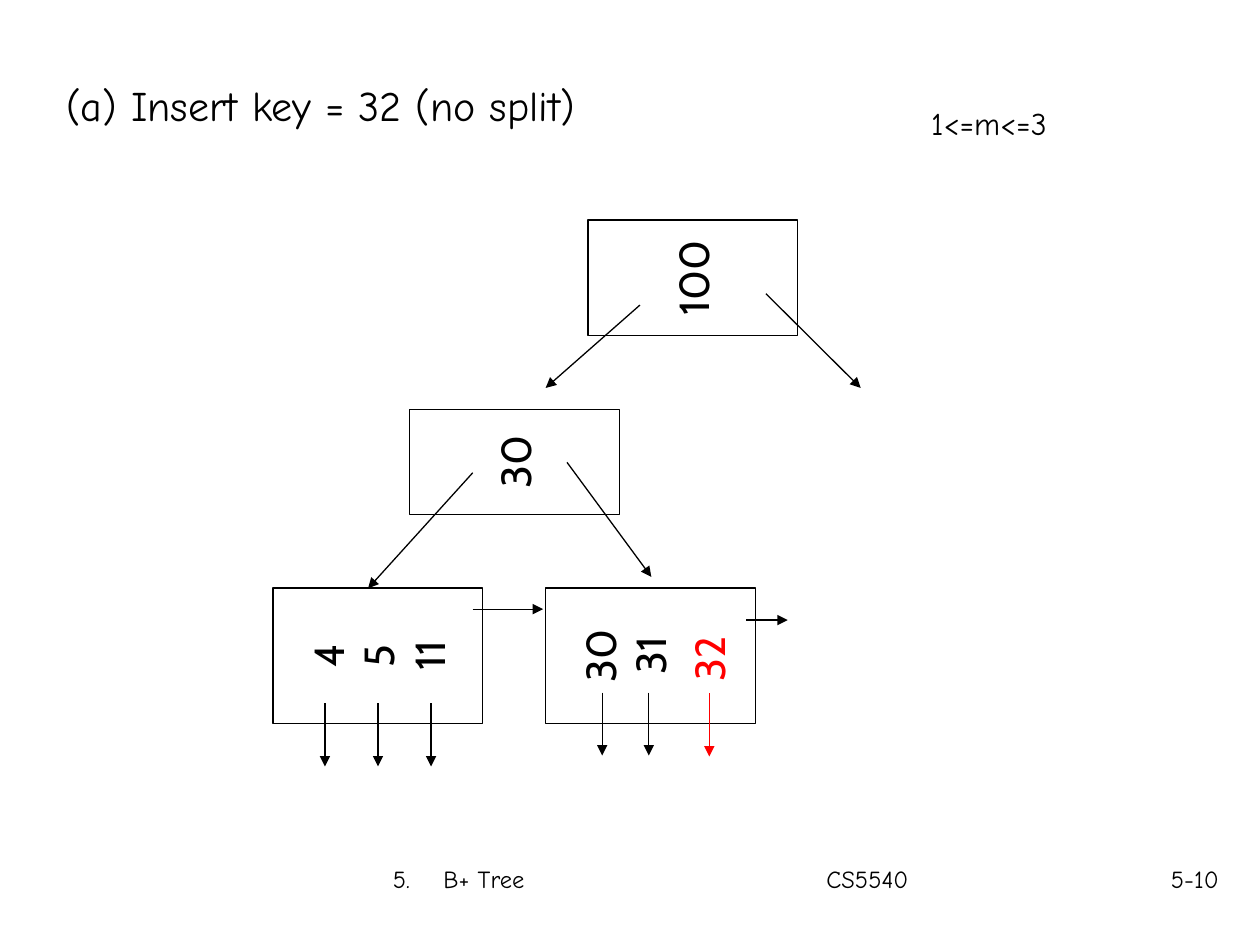
from lxml import etree
from pptx import Presentation
from pptx import util as u
from pptx.dml.color import RGBColor
from pptx.enum import shapes, text
from pptx.oxml.ns import qn

BLACK = RGBColor(0, 0, 0)
RED = RGBColor(255, 0, 0)
WHITE = RGBColor(255, 255, 255)
BODY, KEY = "Comic Neue", "Cabin"
LEFT, CENTER, RIGHT = (text.PP_ALIGN.LEFT, text.PP_ALIGN.CENTER,
                       text.PP_ALIGN.RIGHT)
NODE_LENGTH = 4.23
POINTER = 1.27


def write(sp, lines, font=BODY, size=14, color=BLACK, align=LEFT,
          anchor=text.MSO_ANCHOR.TOP, wrap=True, before=0, tabs=()):
    tf = sp.text_frame
    tf.word_wrap = wrap
    tf.vertical_anchor = anchor
    for i, line in enumerate(lines):
        p = tf.add_paragraph() if i else tf.paragraphs[0]
        p.alignment = align
        p.space_before = u.Pt(before)
        if tabs:
            tab_list = etree.SubElement(p._p.get_or_add_pPr(), qn("a:tabLst"))
            for pos in tabs:
                etree.SubElement(tab_list, qn("a:tab"), pos=str(u.Cm(pos)), algn="l")
        r = p.add_run()
        r.text = line
        r.font.name = font
        r.font.size = u.Pt(size)
        r.font.color.rgb = color


def label(s, x, y, w, h, line, **fmt):
    sp = s.shapes.add_textbox(u.Cm(x), u.Cm(y), u.Cm(w), u.Cm(h))
    write(sp, [line], **fmt)
    return sp


def write_keys(sp, keys, color=BLACK):
    sp.rotation = 270
    write(sp, keys, font=KEY, size=24, color=color, align=CENTER,
          anchor=text.MSO_ANCHOR.MIDDLE, wrap=False)


def node(s, cx, cy, depth, keys, free_space=0):
    sp = s.shapes.add_shape(
        shapes.MSO_SHAPE.RECTANGLE, u.Cm(cx - depth / 2),
        u.Cm(cy - NODE_LENGTH / 2), u.Cm(depth), u.Cm(NODE_LENGTH))
    sp.shadow.inherit = False
    sp.fill.solid()
    sp.fill.fore_color.rgb = WHITE
    sp.line.color.rgb = BLACK
    sp.line.width = u.Pt(0.75)
    write_keys(sp, keys)
    sp.text_frame.margin_bottom = u.Cm(0.13 + free_space)


def arrow(s, x1, y1, x2, y2, color=BLACK):
    c = s.shapes.add_connector(shapes.MSO_CONNECTOR.STRAIGHT,
                               u.Cm(x1), u.Cm(y1), u.Cm(x2), u.Cm(y2))
    c.line.color.rgb = color
    c.line.width = u.Pt(0.75)
    etree.SubElement(c.line._get_or_add_ln(), qn("a:tailEnd"), type="triangle")
    etree.SubElement(c._element.spPr, qn("a:effectLst"))


def pointer(s, x, y, color=BLACK):
    arrow(s, x, y, x, y + POINTER, color)


def main():
    prs = Presentation()
    prs.slide_width, prs.slide_height = u.Cm(25.4), u.Cm(19.05)
    s = prs.slides.add_slide(prs.slide_layouts[6])

    label(s, 7.67, 17.3, 15.2, 1.27, "5.\tB+ Tree\tCS5540", tabs=(1.02, 8.74))
    label(s, 1.09, 1.47, 21.59, 1.65, "(a) Insert key = 32 (no split)",
          size=24, before=6)
    label(s, 18.52, 1.98, 2.84, 1.02, "1<=m<=3", size=18, wrap=False)
    label(s, 22.94, 17.3, 1.88, 1.27, "5-10", align=RIGHT)

    node(s, 7.62, 13.22, 2.74, ["4", "5", "11"])
    node(s, 13.11, 13.22, 2.74, ["30", "31"], free_space=1.03)
    node(s, 10.37, 9.31, 2.12, ["30"])
    node(s, 13.97, 5.6, 2.33, ["100"])

    for ends in ((12.9, 6.15, 11, 7.82), (15.44, 5.92, 17.35, 7.82),
                 (9.53, 9.53, 7.42, 11.86), (11.43, 9.32, 13.13, 11.63),
                 (9.53, 12.28, 10.95, 12.28), (15.04, 12.5, 15.88, 12.5)):
        arrow(s, *ends)
    for i in range(3):
        pointer(s, 6.55 + 1.07 * i, 14.18)
    for x in (12.14, 13.08):
        pointer(s, x, 13.96)

    inserted = s.shapes.add_textbox(u.Cm(13.56), u.Cm(12.65), u.Cm(1.47), u.Cm(1.27))
    write_keys(inserted, ["32"], RED)
    pointer(s, 14.3, 13.98, RED)

    prs.save("out.pptx")


if __name__ == "__main__":
    main()
